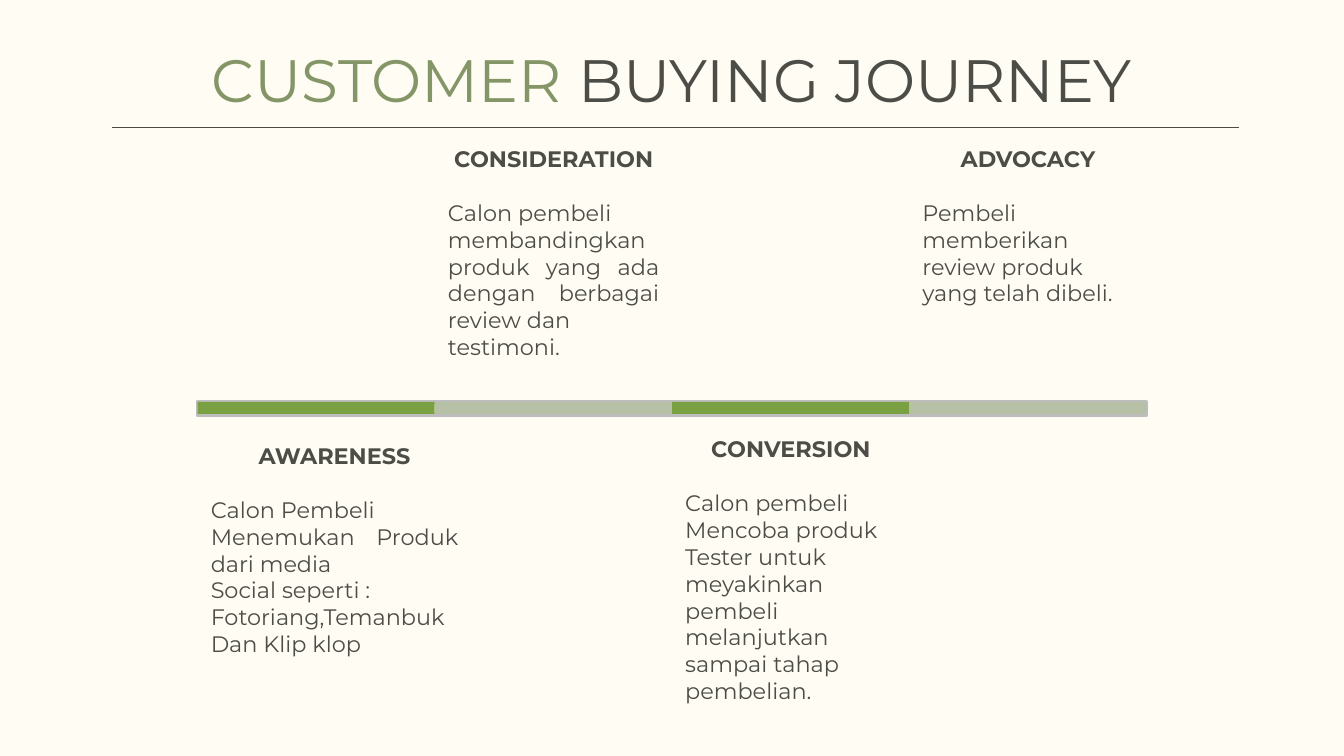
from pptx import Presentation
from pptx.dml.color import RGBColor
from pptx.enum.shapes import MSO_CONNECTOR, MSO_SHAPE
from pptx.enum.text import MSO_ANCHOR, PP_ALIGN
from pptx.util import Inches, Pt
from lxml import etree

RECTANGLE = MSO_SHAPE.RECTANGLE
STRAIGHT = MSO_CONNECTOR.STRAIGHT
TOP = MSO_ANCHOR.TOP
CENTER, JUSTIFY = PP_ALIGN.CENTER, PP_ALIGN.JUSTIFY

FONT = "Montserrat"
DARK, SAGE, GREEN, PALE = "4D4D48", "849667", "7AA141", "B5C0A4"
CREAM, WHITE, GRAY = "FFFCF3", "FFFFFF", "BDBDBD"

TITLE = [("CUSTOMER ", SAGE), ("BUYING JOURNEY", DARK)]
STAGES = [
    {"name": "AWARENESS", "top": 3.19, "width": 2.04, "height": 1.94, "bar": GREEN,
     "lines": ["Calon Pembeli", "Menemukan Produk dari media", "Social seperti :",
               "Fotoriang,Temanbuk", "Dan Klip klop"]},
    {"name": "CONSIDERATION", "top": 0.98, "width": 1.77, "height": 1.88, "bar": PALE,
     "lines": ["Calon pembeli",
               "membandingkan produk yang ada dengan berbagai review dan",
               "testimoni."]},
    {"name": "CONVERSION", "top": 3.14, "width": 1.77, "height": 1.92, "bar": GREEN,
     "lines": ["Calon pembeli", "Mencoba produk", "Tester untuk",
               "meyakinkan pembeli melanjutkan sampai tahap", "pembelian."]},
    {"name": "ADVOCACY", "top": 0.98, "width": 1.77, "height": 1.88, "bar": PALE,
     "lines": ["Pembeli memberikan review produk", "yang telah dibeli."]},
]
SLIDE_WIDTH = Inches(10)
TRACK_LEFT, TRACK_TOP, TRACK_WIDTH = 1.47, 2.99, 7.06
STEP = TRACK_WIDTH / len(STAGES)


def color(value):
    return RGBColor.from_string(value)


def add_bar(left, width, height, fill, outline=None):
    bar = slide.shapes.add_shape(
        RECTANGLE, Inches(left), Inches(TRACK_TOP), Inches(width), Inches(height))
    bar.shadow.inherit = False
    bar.fill.solid()
    bar.fill.fore_color.rgb = color(fill)
    if outline:
        bar.line.color.rgb = color(outline)
        bar.line.width = Pt(2)
    else:
        bar.line.fill.background()


def add_text(left, top, width, height):
    frame = slide.shapes.add_textbox(
        Inches(left), Inches(top), Inches(width), Inches(height)).text_frame
    settings = {"word_wrap": True, "vertical_anchor": TOP}
    for side in ("left", "right", "top", "bottom"):
        settings[f"margin_{side}"] = Inches(0.1)
    for attribute, value in settings.items():
        setattr(frame, attribute, value)
    return frame


def add_run(paragraph, text, size, fill, bold=False):
    run = paragraph.add_run()
    run.text = text
    for attribute, value in {"name": FONT, "size": Pt(size), "bold": bold}.items():
        setattr(run.font, attribute, value)
    run.font.color.rgb = color(fill)


deck = Presentation()
deck.slide_width, deck.slide_height = SLIDE_WIDTH, SLIDE_WIDTH * 9 // 16
slide = deck.slides.add_slide(deck.slide_layouts[6])
slide.background.fill.solid()
slide.background.fill.fore_color.rgb = color(CREAM)

add_bar(TRACK_LEFT, TRACK_WIDTH, 0.1, WHITE, GRAY)
for index, stage in enumerate(STAGES):
    left = TRACK_LEFT + STEP * index
    add_bar(left, STEP, 0.09, stage["bar"])
    frame = add_text(left, stage["top"], stage["width"], stage["height"])
    heading = frame.paragraphs[0]
    heading.alignment = CENTER
    heading.space_after = Pt(14.4)
    add_run(heading, stage["name"], 12, DARK, True)
    for line in stage["lines"]:
        paragraph = frame.add_paragraph()
        paragraph.alignment = JUSTIFY
        add_run(paragraph, line, 12, DARK)

title = add_text(0.78, 0.22, 8.44, 0.67).paragraphs[0]
title.alignment = CENTER
for text, fill in TITLE:
    add_run(title, text, 32, fill)

rule = slide.shapes.add_connector(
    STRAIGHT, Inches(9.22), Inches(0.95), Inches(0.83), Inches(0.95))
rule.line.color.rgb = color(DARK)
rule.line.width = Pt(0.75)
etree.SubElement(rule.element.spPr,
                 "{http://schemas.openxmlformats.org/drawingml/2006/main}effectLst")

deck.save("out.pptx")
